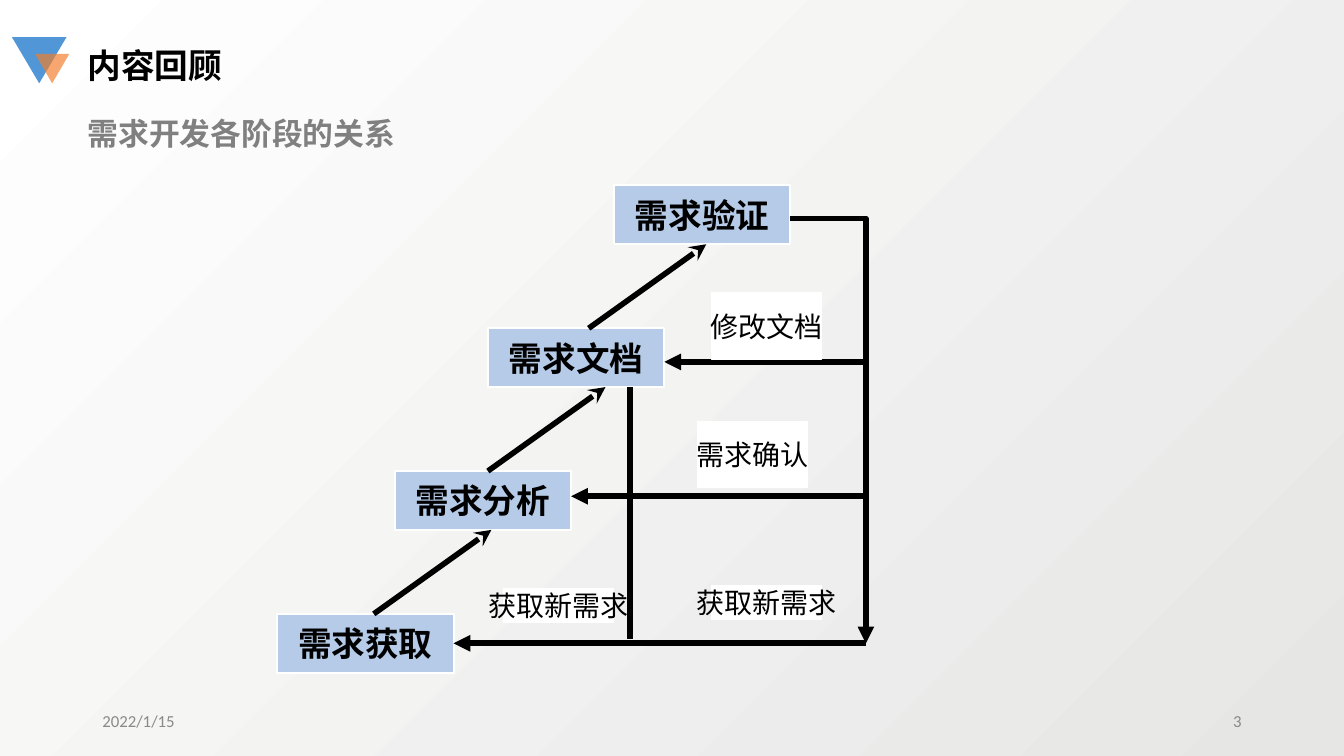
import pptx
import pptx.util
import pptx.dml.color
import pptx.enum.shapes
import pptx.enum.text
import pptx.oxml
import pptx.oxml.ns

Pt = pptx.util.Pt
SHAPES = pptx.enum.shapes.MSO_SHAPE
CONNECTORS = pptx.enum.shapes.MSO_CONNECTOR
ALIGN = pptx.enum.text.PP_ALIGN
ANCHOR = pptx.enum.text.MSO_ANCHOR
AUTO_SIZE = pptx.enum.text.MSO_AUTO_SIZE

COLOURS = {
    "black": "000000",
    "white": "FFFFFF",
    "backdrop": "E6E6E5",
    "stage": "B5CBE7",
    "blue": "5197D7",
    "orange": "F37D2A",
    "subtitle": "808080",
    "footer": "898989",
}
CJK_FONT = "Noto Sans CJK SC"
LATIN_FONT = "Calibri"


def colour(name):
    return pptx.dml.color.RGBColor.from_string(COLOURS[name])


def add_child(parent, tag, **attributes):
    child = pptx.oxml.parse_xml(f"<{tag} {pptx.oxml.ns.nsdecls('a')}/>")
    for key, value in attributes.items():
        child.set(key, value)
    parent.append(child)
    return child


def write(shape, text, size, colour_name, font=LATIN_FONT, bold=False,
          align=ALIGN.LEFT, anchor=ANCHOR.MIDDLE, wrap=True):
    frame = shape.text_frame
    frame.word_wrap = wrap
    frame.auto_size = AUTO_SIZE.NONE
    frame.vertical_anchor = anchor
    paragraph = frame.paragraphs[0]
    paragraph.alignment = align
    run = paragraph.add_run()
    run.text = text
    run.font.size = Pt(size)
    run.font.bold = bold
    run.font.color.rgb = colour(colour_name)
    run.font.name = font
    add_child(run.font._element, "a:ea", typeface=CJK_FONT)


def add_box(slide, preset, left, top, width, height, fill, line_width=0):
    shape = slide.shapes.add_shape(preset, Pt(left), Pt(top), Pt(width), Pt(height))
    shape.shadow.inherit = False
    shape.fill.solid()
    shape.fill.fore_color.rgb = colour(fill)
    if line_width:
        shape.line.color.rgb = colour("white")
        shape.line.width = Pt(line_width)
    else:
        shape.line.fill.background()
    return shape


def add_line(slide, start, end, head=None, kind=CONNECTORS.STRAIGHT):
    connector = slide.shapes.add_connector(kind, *(Pt(value) for value in start + end))
    connector.line.color.rgb = colour("black")
    connector.line.width = Pt(4)
    if head:
        add_child(connector.line._get_or_add_ln(), "a:tailEnd", type=head)
    add_child(connector._element.spPr, "a:effectLst")
    return connector


def set_background(slide):
    fill = slide.background.fill
    fill.gradient()
    fill.gradient_angle = 135
    for stop, name in zip(fill.gradient_stops, ("backdrop", "white")):
        stop.color.rgb = colour(name)


def add_header(slide, left, top):
    large = add_box(slide, SHAPES.ISOSCELES_TRIANGLE, left, top, 39, 33, "blue")
    small = add_box(slide, SHAPES.ISOSCELES_TRIANGLE, left + 16.5, top + 12, 24.5, 21, "orange")
    for triangle in (large, small):
        triangle.rotation = 180
    small_colour = small.fill._xPr.find(".//" + pptx.oxml.ns.qn("a:srgbClr"))
    add_child(small_colour, "a:alpha", val="68000")

    title = slide.shapes.title
    title.left, title.top, title.width, title.height = Pt(left + 47), Pt(top + 2), Pt(253.5), Pt(36)
    write(title, "内容回顾", 24, "black", CJK_FONT, True, anchor=ANCHOR.TOP)
    subtitle = slide.shapes.add_textbox(Pt(left + 47), Pt(top + 52), Pt(330), Pt(34))
    write(subtitle, "需求开发各阶段的关系", 22, "subtitle", CJK_FONT, True, anchor=ANCHOR.TOP)


def add_diagram(slide, left, top):
    def place(x, y):
        return left + x, top + y

    width, height, step = 126, 42, 102
    trunk, base = 420.5, 3 * step + height / 2
    stages = [("需求获取", 0, 69), ("需求分析", 84, 66.5), ("需求文档", 150.5, 72), ("需求验证", 240.5, None)]
    boxes = []
    for index, (text, x, _) in enumerate(stages):
        box = add_box(slide, SHAPES.RECTANGLE, *place(x, (3 - index) * step), width, height, "stage", 1.5)
        write(box, text, 24, "black", bold=True, align=ALIGN.CENTER, wrap=False)
        boxes.append(box)
    for index, (_, x, offset) in enumerate(stages[:-1]):
        y = (3 - index) * step
        add_line(slide, place(x + offset, y), place(x + offset + 84, y + height - step), "stealth")

    feedback = add_line(slide, place(240.5 + width, 23.5), place(trunk, base), "triangle", CONNECTORS.ELBOW)
    feedback._element.spPr.find(pptx.oxml.ns.qn("a:prstGeom")).set("prst", "bentConnector2")
    renewal = add_line(slide, place(trunk, base), place(width, base), "triangle")
    renewal.end_connect(boxes[0], 3)
    add_line(slide, place(252, step + height), place(252, base - 3))
    for x, y in ((150.5, 126), (84, 222)):
        add_line(slide, place(trunk, y), place(x + width, y), "triangle")

    labels = [
        ("获取新需求", 162, 288, 24),
        ("获取新需求", 310.5, 286, 24),
        ("需求确认", 300.5, 168.5, 47.5),
        ("修改文档", 310.5, 76.5, 47.5),
    ]
    for text, x, y, label_height in labels:
        label = add_box(slide, SHAPES.RECTANGLE, *place(x, y), 78, label_height, "white", 0.75)
        write(label, text, 20, "black", align=ALIGN.CENTER, wrap=False)


def add_footer(slide, left, top, width):
    cell = 216
    for text, x, align in (("2022/1/15", left, ALIGN.LEFT), ("3", left + width - cell, ALIGN.RIGHT)):
        box = slide.shapes.add_textbox(Pt(x), Pt(top), Pt(cell), Pt(28.75))
        write(box, text, 12, "footer", align=align)


def main():
    presentation = pptx.Presentation()
    presentation.slide_width, presentation.slide_height = Pt(960), Pt(540)
    slide = presentation.slides.add_slide(presentation.slide_layouts[5])
    set_background(slide)
    add_header(slide, 8.5, 26.5)
    add_diagram(slide, 198, 132.5)
    add_footer(slide, 66, 500.5, 828)
    presentation.save("out.pptx")


if __name__ == "__main__":
    main()
